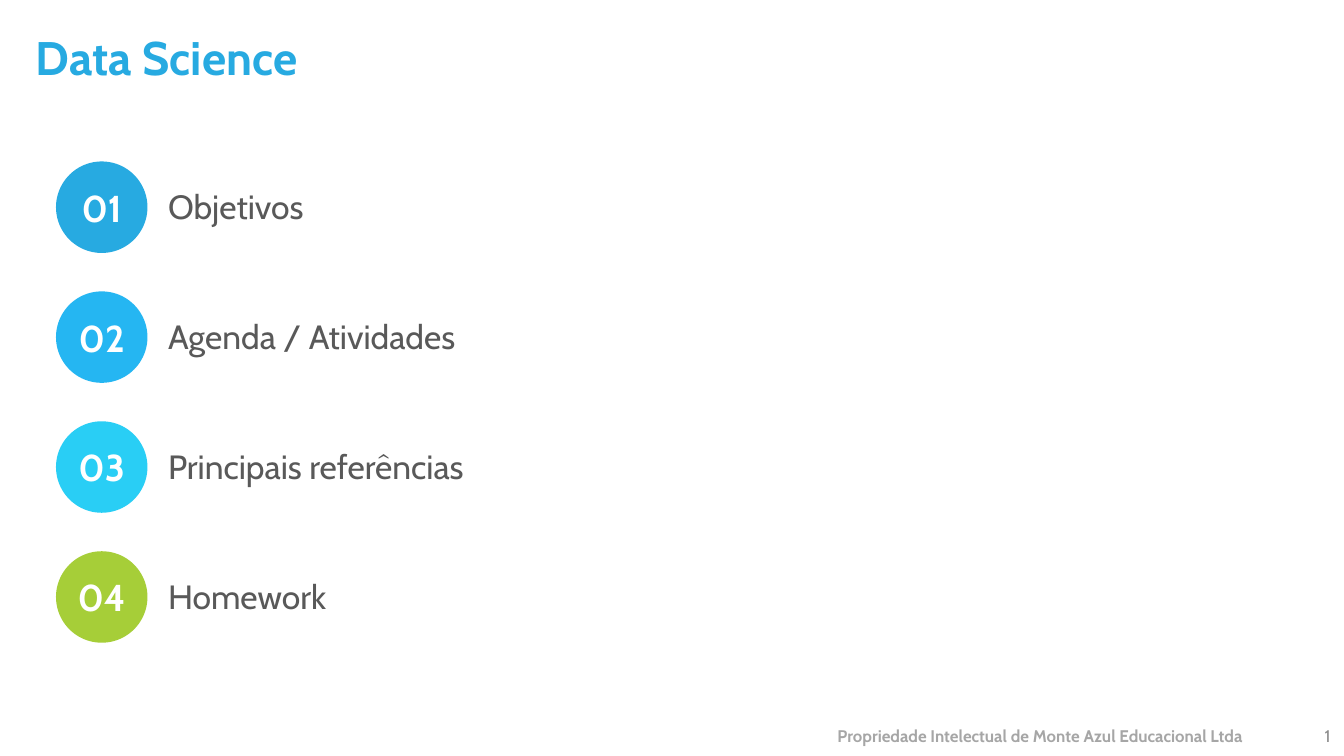
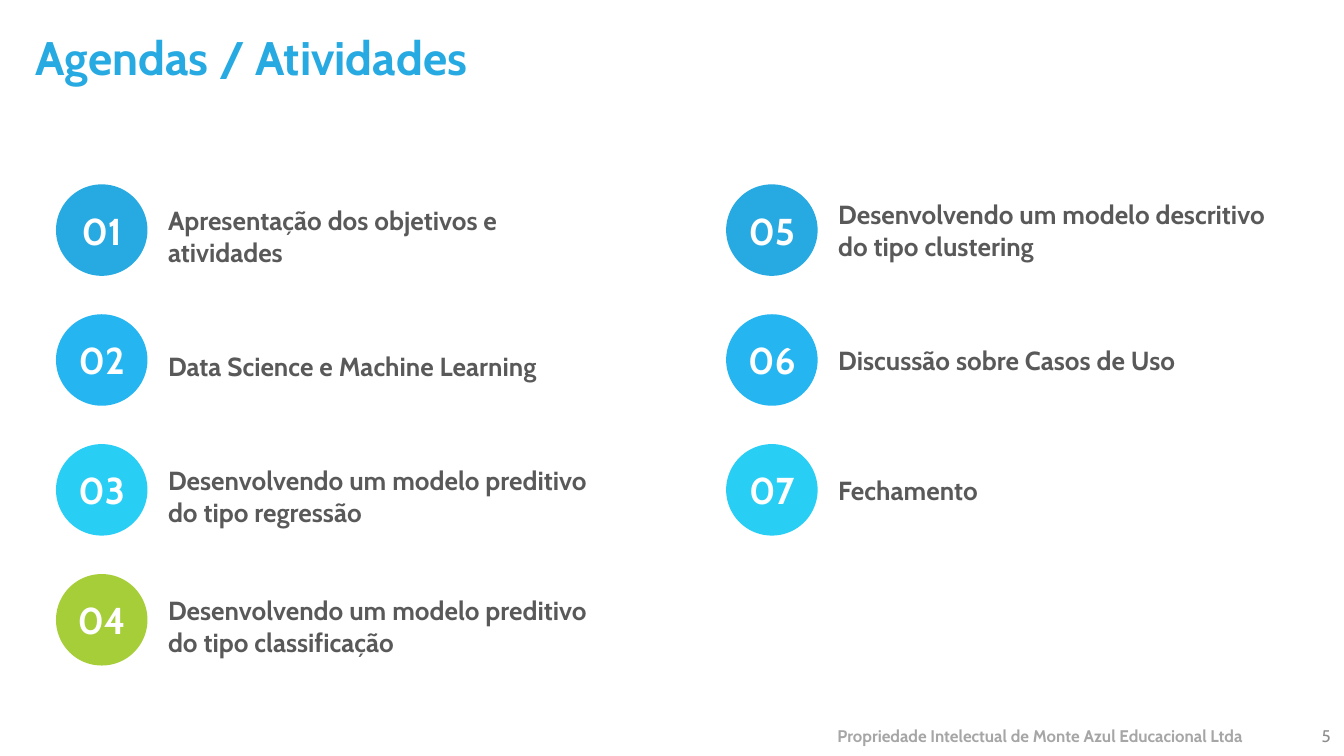
from pptx import Presentation
from pptx.dml.color import RGBColor
from pptx.enum import shapes, text
from pptx.util import Pt

# Content: each column is (left, text shift, [(label, lines), ...])
SLIDES = [
    dict(title="Data Science", page="1", top=86.5, size=18, bold=False, line=22,
         columns=[(30, -0.5, [("Objetivos", 1),
                              ("Agenda / Atividades", 1),
                              ("Principais referências", 1),
                              ("Homework", 1)])]),
    dict(title="Agendas / Atividades", page="5", top=98.75, size=14, bold=True, line=17,
         columns=[(30, 3.25, [("Apresentação dos objetivos e atividades", 2),
                              ("Data Science e Machine Learning", 1),
                              ("Desenvolvendo um modelo preditivo do tipo regressão", 2),
                              ("Desenvolvendo um modelo preditivo do tipo classificação", 2)]),
                  (389, 0, [("Desenvolvendo um modelo descritivo do tipo clustering", 2),
                            ("Discussão sobre Casos de Uso", 1),
                            ("Fechamento", 1)])]),
]
FOOTER = "Propriedade Intelectual de Monte Azul Educacional Ltda"

# Shared style
FONT = "Cabin"
BLUE = RGBColor(0x27, 0xAA, 0xE1)
SKY = RGBColor(0x25, 0xB6, 0xF2)
CYAN = RGBColor(0x29, 0xCE, 0xF5)
GREEN = RGBColor(0xA6, 0xCE, 0x38)
WHITE = RGBColor(0xFF, 0xFF, 0xFF)
DARK = RGBColor(0x59, 0x59, 0x59)
FOOTER_GRAY = RGBColor(0xA6, 0xA6, 0xA6)
PAGE_GRAY = RGBColor(0x8C, 0x8C, 0x8C)
BADGE_COLORS = [BLUE, SKY, CYAN, GREEN]

# Grid, in points
BADGE, ROW_PITCH = 49, 69.6
LABEL_OFFSET, LABEL_WIDTH = 60, 240


def write(sp, words, size, color, bold=False, align=text.PP_ALIGN.LEFT, inset=True):
    tf = sp.text_frame
    tf.word_wrap = True
    tf.auto_size = text.MSO_AUTO_SIZE.NONE
    tf.vertical_anchor = text.MSO_ANCHOR.MIDDLE
    if not inset:
        tf.margin_left = tf.margin_right = tf.margin_top = tf.margin_bottom = 0
    p = tf.paragraphs[0]
    p.alignment = align
    r = p.add_run()
    r.text = words
    r.font.name, r.font.size, r.font.bold = FONT, Pt(size), bold
    r.font.color.rgb = color
    return tf


def add_box(s, left, top, width, height):
    return s.shapes.add_textbox(Pt(left), Pt(top), Pt(width), Pt(height))


def add_title(s, words):
    sp = s.shapes.title
    sp.left, sp.top, sp.width, sp.height = Pt(12), Pt(11), Pt(659), Pt(39)
    write(sp, words, 25.2, BLUE, bold=True)


def add_footer(s, page):
    right = text.PP_ALIGN.RIGHT
    write(add_box(s, 354, 383, 318.5, 22), FOOTER, 9, FOOTER_GRAY, True, right)
    write(add_box(s, 678, 383, 42, 22), page, 9, PAGE_GRAY, False, right)


def add_item(s, number, label, left, middle, height, shift, size, bold, color):
    # Label beside the badge
    sp = add_box(s, left + LABEL_OFFSET, middle + shift - height / 2, LABEL_WIDTH, height)
    tf = write(sp, label, size, DARK, bold, inset=False)
    tf.auto_size = text.MSO_AUTO_SIZE.SHAPE_TO_FIT_TEXT
    tf.paragraphs[0].space_after = Pt(10)

    # Numbered badge
    sp = s.shapes.add_shape(shapes.MSO_SHAPE.OVAL, Pt(left), Pt(middle - BADGE / 2),
                            Pt(BADGE), Pt(BADGE))
    sp.shadow.inherit = False
    sp.fill.solid()
    sp.fill.fore_color.rgb = color
    sp.line.fill.background()
    write(sp, f"{number:02d}", 20, WHITE, True, text.PP_ALIGN.CENTER, inset=False)


def add_slide(prs, data):
    s = prs.slides.add_slide(prs.slide_layouts[5])
    add_title(s, data["title"])
    number = 0
    for left, shift, items in data["columns"]:
        for row, (label, lines) in enumerate(items):
            number += 1
            middle = data["top"] + row * ROW_PITCH + BADGE / 2
            add_item(s, number, label, left, middle, lines * data["line"], shift,
                     data["size"], data["bold"], BADGE_COLORS[row])
    add_footer(s, data["page"])


def main():
    prs = Presentation()
    prs.slide_width, prs.slide_height = Pt(720), Pt(405)
    for data in SLIDES:
        add_slide(prs, data)
    prs.save("out.pptx")


if __name__ == "__main__":
    main()
